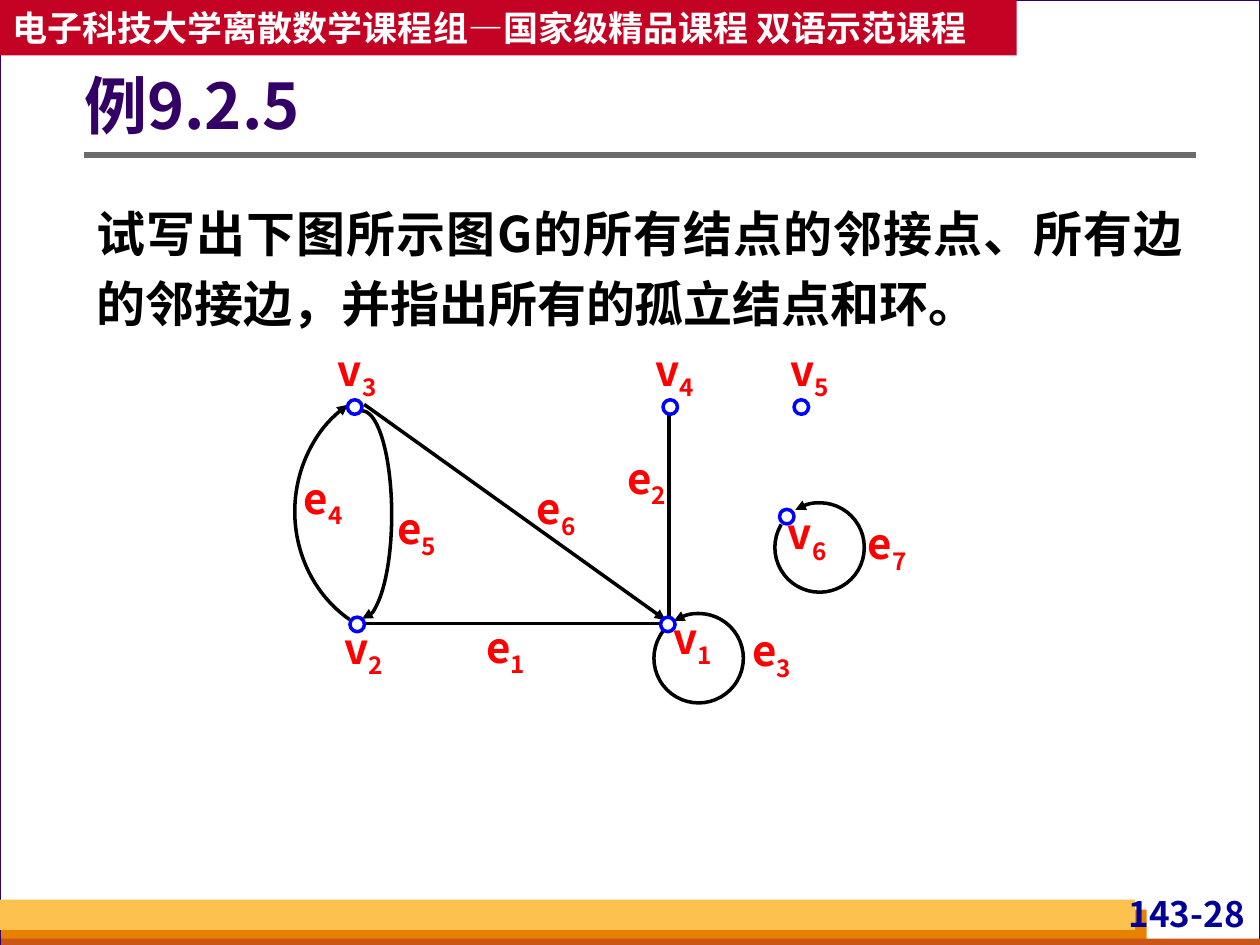
from pptx import Presentation
from pptx import util as u
from pptx.dml.color import RGBColor
from pptx.enum import shapes, text
from pptx.oxml.ns import qn
from lxml import etree

FONT = "Noto Sans CJK SC"
NODE_SIZE = 8.3
LABEL_SIZE = (34, 33)

# Graph parts, in points from the top left corner of the graph
NODES = {  # name: node centre, label centre x, label top
    "v1": (213.6, 160.8, 227.6, 153.9),
    "v2": (36.1, 160.8, 39.7, 159.7),
    "v3": (34.7, 36.6, 36.1, 0.6),
    "v4": (215, 36.6, 217.6, 0.6),
    "v5": (289.9, 36.6, 294.6, 0.6),
    "v6": (281.6, 99.2, 293.2, 94.2),
}
STRAIGHT_EDGES = [  # x1, y1, x2, y2, arrow end
    (38.6, 160.4, 209.3, 160.4, None),
    (214.3, 37.3, 214.3, 156.8, None),
    (40.1, 35.1, 212.2, 158.2, "tailEnd"),
]
CURVED_EDGES = [  # ellipse box, start and end angle clockwise, arrow end
    ((0.5, 22.9, 136.8, 146.9), 121, 238, "tailEnd"),
    ((22.1, 38.7, 33.8, 118.8), 270, 90, "tailEnd"),
    ((205.7, 154.6, 51.1, 51.1), 236.5, 219.3, "headEnd"),
    ((274.8, 91.3, 51.1, 51.1), 237, 211, "headEnd"),
]
EDGE_LABELS = {  # name: label centre x, label top
    "e1": (121.1, 159), "e2": (201.7, 62.5), "e3": (273, 161.1),
    "e4": (16.7, 74), "e5": (70, 91.3), "e6": (149.9, 79.8), "e7": (338.9, 99.9),
}


def colour(value):
    return RGBColor.from_string(value)


def points(values):
    return [u.Pt(value) for value in values]


def set_line(line, value, width):
    line.color.rgb = colour(value)
    line.width = u.Pt(width)


def add_preset(page, kind, box, fill=None, line=None, width=1):
    shape = page.shapes.add_shape(kind, *points(box))
    shape.shadow.inherit = False
    if fill:
        shape.fill.solid()
        shape.fill.fore_color.rgb = colour(fill)
    else:
        shape.fill.background()
    if line:
        set_line(shape.line, line, width)
    else:
        shape.line.fill.background()
    return shape


def add_arrow(line, end):
    """Put a triangle on the headEnd (start) or tailEnd (finish) of a line."""
    if end:
        etree.SubElement(line._get_or_add_ln(), qn("a:" + end), type="triangle")


def add_line(page, ends, value, width, arrow=None):
    line = page.shapes.add_connector(shapes.MSO_CONNECTOR.STRAIGHT, *points(ends))
    set_line(line.line, value, width)
    add_arrow(line.line, arrow)
    etree.SubElement(line._element.spPr, qn("a:effectLst"))


def add_arc(page, box, start, finish, arrow):
    arc = add_preset(page, shapes.MSO_SHAPE.ARC, box, line="000000", width=2)
    # Angles are stored in 1/60000 degree, adjustments in 1/100000
    arc.adjustments[0] = start * 0.6
    arc.adjustments[1] = finish * 0.6
    add_arrow(arc.line, arrow)


def add_text(page, box, words, size, value, subscript="", align="LEFT",
             anchor="TOP", insets=(7.2, 3.6, 7.2, 3.6), spacing=1.0):
    frame = page.shapes.add_textbox(*points(box)).text_frame
    frame.word_wrap = True
    frame.vertical_anchor = getattr(text.MSO_ANCHOR, anchor)
    (frame.margin_left, frame.margin_top,
     frame.margin_right, frame.margin_bottom) = points(insets)
    para = frame.paragraphs[0]
    para.alignment = getattr(text.PP_ALIGN, align)
    para.line_spacing = spacing
    for part, baseline in ((words, None), (subscript, "-25000")):
        if not part:
            continue
        span = para.add_run()
        span.text = part
        span.font.size = u.Pt(size)
        span.font.bold = True
        span.font.color.rgb = colour(value)
        span.font.name = FONT
        properties = span.font._element
        etree.SubElement(properties, qn("a:ea"), typeface=FONT)
        if baseline:
            properties.set("baseline", baseline)


def add_label(page, name, centre, top):
    width, height = LABEL_SIZE
    add_text(page, (centre - width / 2, top, width, height), name[0], 24, "FF0000",
             subscript=name[1], align="CENTER", insets=(0, 0, 0, 0))


def draw_header(page, box):
    add_preset(page, shapes.MSO_SHAPE.RECTANGLE, box, "C30224")
    add_text(page, box, "电子科技大学离散数学课程组—国家级精品课程 双语示范课程",
             20, "FFFFFF", anchor="MIDDLE")


def draw_footer(page, box):
    left, top, width, height = box
    for bar, fill in (
        ((left + 0.7, top + 5.7, 654.5, 20.2), "E88000"),
        ((left + 0.7, top + 22.3, width - 0.7, height - 22.3), "C95616"),
        ((left, top, 648.7, 17.3), "FCC24F"),
    ):
        add_preset(page, shapes.MSO_SHAPE.RECTANGLE, bar, fill)
    add_text(page, (left + 626.4, top - 4.3, 87.8, 27.4), "143-28", 20, "000099",
             align="RIGHT", insets=(2.9, 0, 2.9, 0))


def draw_content(page, box):
    """Title, rule below it and the question."""
    left, top, width, _ = box
    rule = top + 62.6
    add_line(page, (left, rule, left + width, rule), "6B6B6B", 3)
    add_text(page, (left, top, width, 72.7), "例9.2.5", 36, "330066",
             anchor="MIDDLE", insets=(0, 3.6, 7.2, 3.6), spacing=0.9)
    add_text(page, (left, top + 79.9, width, 87.8),
             "试写出下图所示图G的所有结点的邻接点、所有边的邻接边，并指出所有的孤立结点和环。",
             28, "000000", align="JUSTIFY", spacing=1.2)


def draw_graph(page, box):
    left, top = box[:2]
    for x1, y1, x2, y2, arrow in STRAIGHT_EDGES:
        add_line(page, (left + x1, top + y1, left + x2, top + y2), "000000", 2, arrow)
    for (x, y, width, height), start, finish, arrow in CURVED_EDGES:
        add_arc(page, (left + x, top + y, width, height), start, finish, arrow)
    for name, (x, y) in EDGE_LABELS.items():
        add_label(page, name, left + x, top + y)
    for name, (x, y, label_x, label_y) in NODES.items():
        add_label(page, name, left + label_x, top + label_y)
        corner = (left + x - NODE_SIZE / 2, top + y - NODE_SIZE / 2)
        add_preset(page, shapes.MSO_SHAPE.OVAL, (*corner, NODE_SIZE, NODE_SIZE),
                   "FFFFFF", "0000FF", 2)


def main():
    deck = Presentation()
    deck.slide_width, deck.slide_height = points((720, 540))
    page = deck.slides.add_slide(deck.slide_layouts[6])
    page.background.fill.solid()
    page.background.fill.fore_color.rgb = colour("D8DADA")
    add_preset(page, shapes.MSO_SHAPE.RECTANGLE, (0, 0, 720, 540),
               "FFFFFF", "330066", 0.75)
    draw_footer(page, (0, 514.1, 720, 25.9))
    draw_header(page, (0, 0, 581, 31.7))
    draw_content(page, (48.2, 25.9, 635, 167.7))
    draw_graph(page, (168, 196, 356, 206))
    deck.save("out.pptx")


if __name__ == "__main__":
    main()
